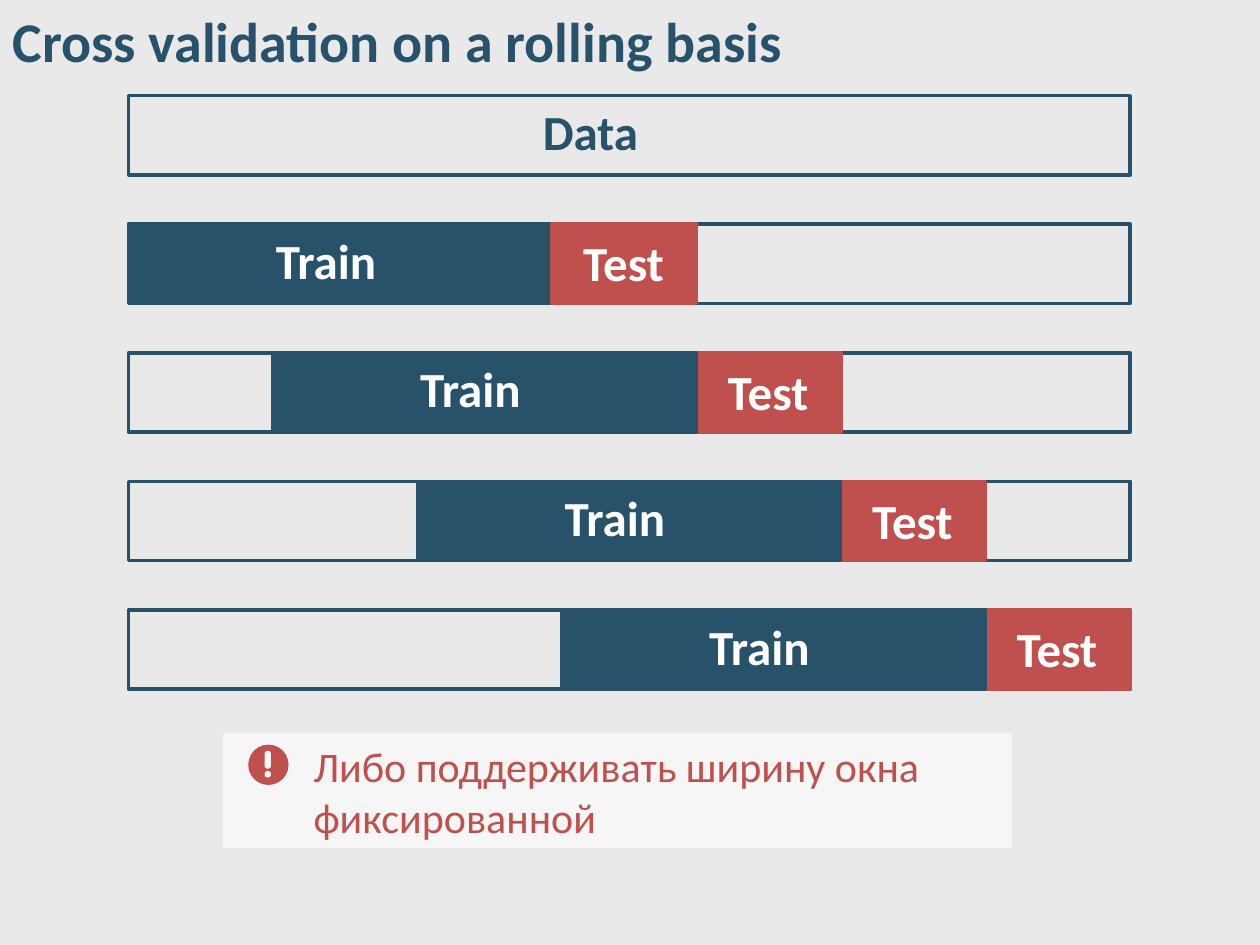
from lxml import etree
from pptx import Presentation
from pptx.dml.color import RGBColor
from pptx.enum.shapes import MSO_SHAPE
from pptx.enum.text import MSO_ANCHOR, PP_ALIGN
from pptx.oxml.ns import qn
from pptx.util import Inches, Pt

RECT, OVAL, ROUND = MSO_SHAPE.RECTANGLE, MSO_SHAPE.OVAL, MSO_SHAPE.ROUNDED_RECTANGLE
NAVY, RED, WHITE, PALE, GREY = "28516A", "C0504D", "FFFFFF", "F6F6F6", "E9E9E9"
TITLE = "Cross validation on a rolling basis"
NOTE = "Либо поддерживать ширину окна фиксированной"
FOLDS = 4
LEFT, TOP, WIDTH, HEIGHT = 1.02, 0.76, 7.95, 0.63
TRAIN_W, TEST_W = 3.36, 1.15
FRAME_STEP, BLOCK_TOP, BLOCK_STEP = 1.02, 1.78, 1.02
SHIFT = (WIDTH - TRAIN_W - TEST_W) / (FOLDS - 1)
BLOCKS = {
    "Train": dict(x=LEFT, w=TRAIN_W, color=NAVY, label_x=2.09, label_w=1.01, label_dy=0),
    "Test": dict(x=LEFT + TRAIN_W, w=TEST_W, color=RED, label_x=4.53, label_w=0.85, label_dy=0.02),
}
STACK = [("Train", 0)] + [("Test", i) for i in range(FOLDS)] + [("Train", i) for i in range(1, FOLDS)]


def rgb(value):
    """Turn a hex string into a colour."""
    return RGBColor.from_string(value)


def add_box(s, kind, box, fill=None, line=None):
    """Add a preset shape with an optional fill and outline."""
    sp = s.shapes.add_shape(kind, *map(Inches, box))
    sp.shadow.inherit = False
    if fill:
        sp.fill.solid()
        sp.fill.fore_color.rgb = rgb(fill)
    else:
        sp.fill.background()
    if line:
        sp.line.color.rgb = rgb(line)
        sp.line.width = Pt(2)
    else:
        sp.line.fill.background()
    return sp


def set_text(sp, text, size, color, bold=True, wrap=False):
    """Write one formatted paragraph into a shape."""
    tf = sp.text_frame
    tf.word_wrap = wrap
    p = tf.paragraphs[0]
    p.text = text
    p.alignment = PP_ALIGN.LEFT
    p.font.name, p.font.size, p.font.bold = "Calibri", Pt(size), bold
    p.font.color.rgb = rgb(color)
    return tf


def add_label(s, box, *args, **kwargs):
    """Add a text box holding one paragraph."""
    set_text(s.shapes.add_textbox(*map(Inches, box)), *args, **kwargs)


def add_title(s):
    """Place and format the title placeholder."""
    sp = s.shapes.title
    sp.left, sp.top, sp.width, sp.height = map(Inches, (0, 0, 10, 0.64))
    tf = set_text(sp, TITLE, 32, NAVY, wrap=True)
    tf.vertical_anchor = MSO_ANCHOR.TOP
    tf.margin_left, tf.margin_top, tf.margin_right, tf.margin_bottom = map(Inches, (0.1, 0.05, 0, 0))


def add_folds(s):
    """Draw the data bar and the rolling train and test windows."""
    for row in range(FOLDS + 1):
        add_box(s, RECT, (LEFT, TOP + row * FRAME_STEP, WIDTH, HEIGHT), line=NAVY)
    add_label(s, (4.21, TOP, 1.03, 0.57), "Data", 28, NAVY)
    for name, fold in STACK:
        b = BLOCKS[name]
        dx, y = fold * SHIFT, BLOCK_TOP + fold * BLOCK_STEP
        add_box(s, RECT, (b["x"] + dx, y, b["w"], HEIGHT), b["color"], b["color"])
        add_label(s, (b["label_x"] + dx, y + b["label_dy"], b["label_w"], 0.57), name, 28, WHITE)


def add_note(s):
    """Draw the translucent note with its exclamation icon."""
    sp = add_box(s, RECT, (1.77, 5.82, 6.26, 0.91), WHITE)
    color = sp.fill._xPr.find(".//" + qn("a:srgbClr"))
    etree.SubElement(color, qn("a:alpha"), val="60000")
    add_label(s, (2.39, 5.83, 5.64, 0.91), NOTE, 24, RED, bold=False, wrap=True)
    add_box(s, OVAL, (1.97, 5.91, 0.32, 0.32), RED)
    for y, h in ((5.96, 0.14), (6.12, 0.05)):
        add_box(s, ROUND, (2.1, y, 0.05, h), PALE).adjustments[0] = 0.4


def main():
    """Build and save the slide."""
    prs = Presentation()
    prs.slide_width, prs.slide_height = Inches(10), Inches(7.5)
    s = prs.slides.add_slide(prs.slide_layouts[5])
    s.background.fill.solid()
    s.background.fill.fore_color.rgb = rgb(GREY)
    add_title(s)
    add_folds(s)
    add_note(s)
    prs.save("out.pptx")


if __name__ == "__main__":
    main()
